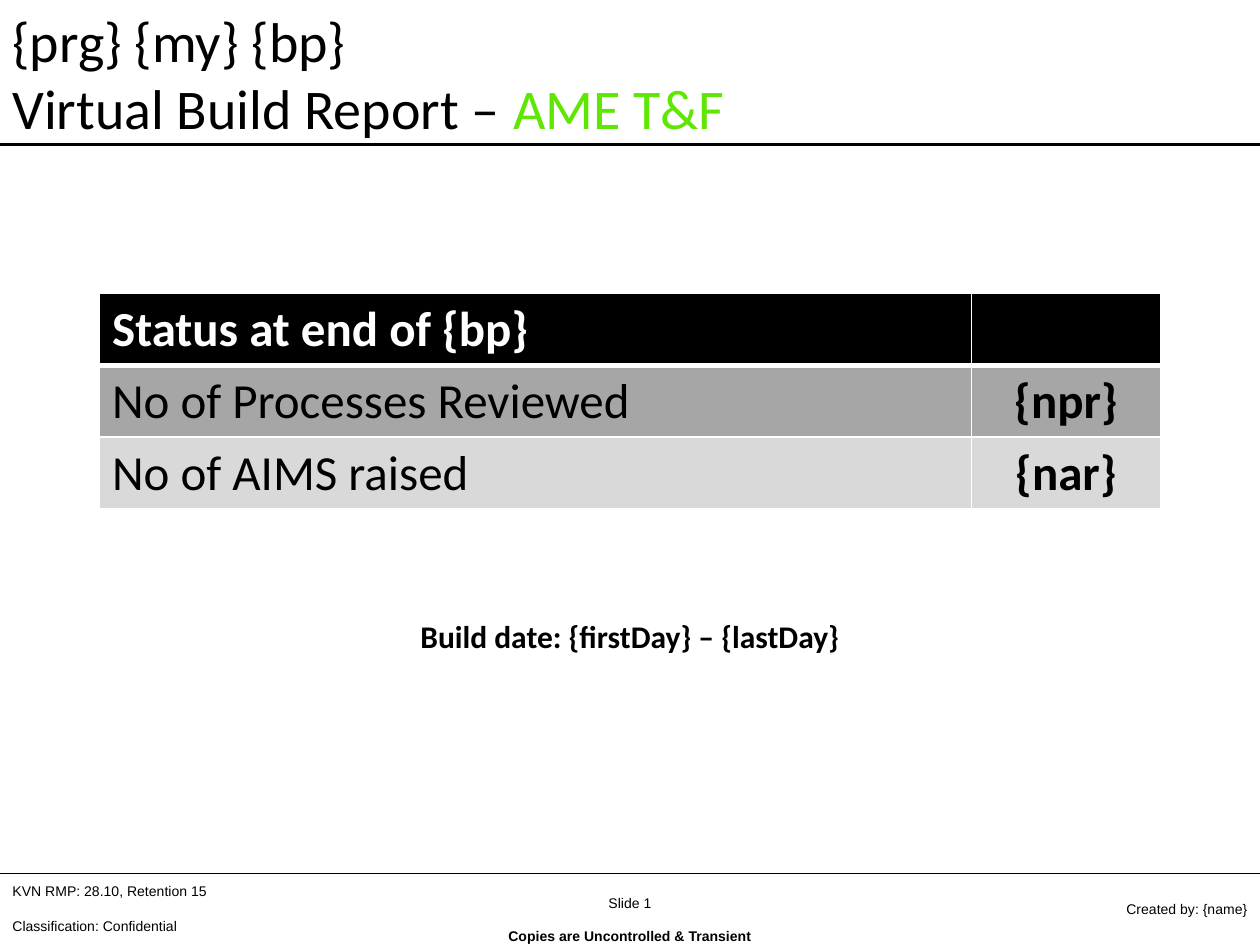
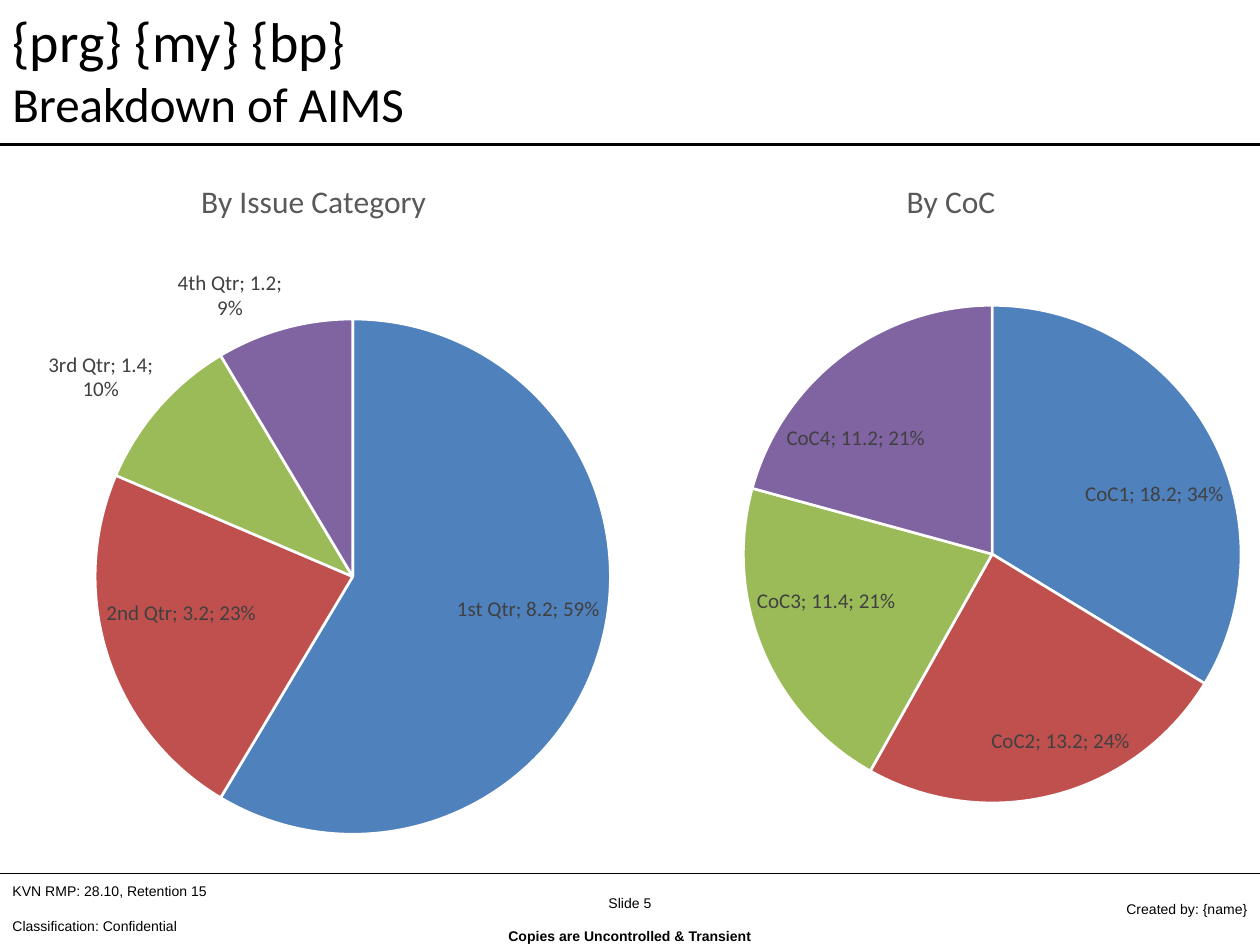
import dataclasses
import typing

import pptx
import pptx.chart.data
import pptx.dml.color
import pptx.enum.chart
import pptx.enum.shapes
import pptx.enum.text
import pptx.oxml.ns
import pptx.util
from lxml import etree

Inches = pptx.util.Inches
Pt = pptx.util.Pt
qn = pptx.oxml.ns.qn
Align = pptx.enum.text.PP_ALIGN
Anchor = pptx.enum.text.MSO_ANCHOR

BLACK, WHITE, GREEN = "000000", "FFFFFF", "5FE703"
LABEL, HEAD = "404040", "595959"
SLICES = ("4F81BD", "C0504D", "9BBB59", "8064A2")


@dataclasses.dataclass
class Box:
    left: float
    top: float
    width: float
    height: float

    def emu(self) -> tuple:
        return tuple(Inches(n) for n in dataclasses.astuple(self))


@dataclasses.dataclass
class Line:
    """One paragraph; a tail is a second run in its own colour."""
    text: str
    size: float
    face: str = "Calibri"
    bold: bool = False
    color: str = BLACK
    align: typing.Any = Align.LEFT
    space: float = 1.0
    before: float = 0
    tail: str = ""


@dataclasses.dataclass
class Pie:
    title: str
    frame: Box
    names: tuple
    values: tuple
    head: tuple  # left, top as shares of the frame
    plot: tuple  # left, top, width, height as shares of the frame


@dataclasses.dataclass
class Row:
    label: str
    value: str
    fill: str
    color: str = BLACK
    head: bool = False


def rgb(code: str) -> pptx.dml.color.RGBColor:
    return pptx.dml.color.RGBColor.from_string(code)


def style(font, size: float, color: str, face: str = "Calibri", bold: bool = False) -> None:
    font.size, font.name, font.bold = Pt(size), face, bold
    font.color.rgb = rgb(color)


def write(frame, lines: typing.Sequence[Line]) -> None:
    for i, line in enumerate(lines):
        para = frame.add_paragraph() if i else frame.paragraphs[0]
        para.text = line.text
        para.alignment = line.align
        para.line_spacing = line.space
        para.space_before = Pt(line.before)
        if line.tail:
            para.add_run().text = line.tail
        for run, color in zip(para.runs, (line.color, GREEN)):
            style(run.font, line.size, color, line.face, line.bold)


def add_text(slide, box: Box, lines: typing.Sequence[Line], anchor=Anchor.TOP) -> None:
    frame = slide.shapes.add_textbox(*box.emu()).text_frame
    frame.word_wrap = True
    frame.vertical_anchor = anchor
    write(frame, lines)


def add_rule(slide, top: float, weight: float) -> None:
    kind = pptx.enum.shapes.MSO_CONNECTOR.STRAIGHT
    rule = slide.shapes.add_connector(kind, Inches(0), Inches(top), Inches(10), Inches(top))
    rule.line.color.rgb = rgb(BLACK)
    rule.line.width = Pt(weight)
    etree.SubElement(rule.element.spPr, qn("a:effectLst"))


def add_page(deck, number: int, title: typing.Sequence[Line]):
    """Blank slide with the shared footer, rules and title."""
    slide = deck.slides.add_slide(deck.slide_layouts[6])
    mid = dict(size=8, face="Arial", align=Align.CENTER, space=2.0)
    add_text(slide, Box(0, 6.94, 10, 0.58), [
        Line(f"Slide {number}", **mid),
        Line("Copies are Uncontrolled & Transient", bold=True, **mid),
    ], Anchor.MIDDLE)
    add_text(slide, Box(0, 6.92, 2.91, 0.58), [
        Line("KVN RMP: 28.10, Retention 15", 8, "Arial"),
        Line("Classification: Confidential", 8, "Arial", before=10),
    ], Anchor.MIDDLE)
    add_text(slide, Box(6.76, 6.93, 3.24, 0.57), [
        Line("Created by: {name}", 8, "Arial", align=Align.RIGHT),
    ], Anchor.MIDDLE)
    add_rule(slide, 1.15, 1.75)
    add_rule(slide, 6.93, 0.75)
    add_text(slide, Box(0, 0, 10, 1.15), [Line("{prg} {my} {bp}", 32), *title])
    return slide


def edge_cell(cell, top: float, bottom: float) -> None:
    """White borders; they come before the fill in the cell."""
    props = cell._tc.get_or_add_tcPr()
    sides = {"L": 1, "R": 1, "T": top, "B": bottom}
    for i, (side, weight) in enumerate(sides.items()):
        edge = etree.Element(qn(f"a:ln{side}"), w=str(Pt(weight)))
        fill = etree.SubElement(edge, qn("a:solidFill"))
        etree.SubElement(fill, qn("a:srgbClr"), val=WHITE)
        props.insert(i, edge)


def add_grid(slide, box: Box, widths: tuple, rows: typing.Sequence[Row]) -> None:
    grid = slide.shapes.add_table(len(rows), len(widths), *box.emu()).table
    grid.horz_banding = False
    for col, width in zip(grid.columns, widths):
        col.width = Inches(width)
    for i, row in enumerate(rows):
        lines = (
            Line(row.label, 28, bold=row.head, color=row.color),
            Line(row.value, 28, bold=True, color=row.color, align=Align.CENTER),
        )
        for cell, line in zip(grid.rows[i].cells, lines):
            cell.fill.solid()
            cell.fill.fore_color.rgb = rgb(row.fill)
            cell.vertical_anchor = Anchor.MIDDLE
            edge_cell(cell, 3 if i == 1 else 1, 3 if row.head else 1)
            write(cell.text_frame, [line])


def place(node, index: int, shares: tuple) -> None:
    """Fix a chart part by shares of the chart frame."""
    for old in node.findall(qn("c:layout")):
        node.remove(old)
    layout = etree.Element(qn("c:layout"))
    manual = etree.SubElement(layout, qn("c:manualLayout"))
    if len(shares) == 4:
        etree.SubElement(manual, qn("c:layoutTarget"), val="inner")
    for tag in ("xMode", "yMode"):
        etree.SubElement(manual, qn(f"c:{tag}"), val="edge")
    for tag, share in zip("xywh", shares):
        etree.SubElement(manual, qn(f"c:{tag}"), val=str(share))
    node.insert(index, layout)


def add_pie(slide, pie: Pie) -> None:
    data = pptx.chart.data.CategoryChartData()
    data.categories = pie.names
    data.add_series("Series 1", pie.values)
    kind = pptx.enum.chart.XL_CHART_TYPE.PIE
    chart = slide.shapes.add_chart(kind, *pie.frame.emu(), data).chart
    chart.has_legend = False
    style(chart.font, 10, BLACK)

    # Title
    chart.has_title = True
    write(chart.chart_title.text_frame, [Line(pie.title, 18, color=HEAD)])
    chart.chart_title.include_in_layout = False
    place(chart.chart_title.element, 1, pie.head)

    # Slices
    plot = chart.plots[0]
    plot.vary_by_categories = True
    for i, color in enumerate(SLICES):
        form = plot.series[0].points[i].format
        form.fill.solid()
        form.fill.fore_color.rgb = rgb(color)
        form.line.color.rgb = rgb(WHITE)
        form.line.width = Pt(1.5)
    place(next(chart.element.iter(qn("c:plotArea"))), 0, pie.plot)

    # Labels
    labels = plot.series[0].data_labels
    labels.show_category_name = labels.show_value = labels.show_percentage = True
    labels.position = pptx.enum.chart.XL_LABEL_POSITION.BEST_FIT
    style(labels.font, 12, LABEL)
    last = next(chart.element.iter(qn("c:showPercent")))
    bubble = last.getparent().find(qn("c:showBubbleSize"))
    mark = etree.Element(qn("c:separator"))
    mark.text = "; "
    (last if bubble is None else bubble).addnext(mark)


def main() -> None:
    deck = pptx.Presentation()
    deck.slide_width, deck.slide_height = Inches(10), Inches(7.5)

    # Status report
    slide = add_page(deck, 1, [Line("Virtual Build Report – ", 32, tail="AME T&F")])
    add_grid(slide, Box(0.79, 2.33, 8.42, 1.71), (6.92, 1.5), [
        Row("Status at end of {bp}", "", BLACK, WHITE, True),
        Row("No of Processes Reviewed", "{npr}", "A6A6A6"),
        Row("No of AIMS raised", "{nar}", "D9D9D9"),
    ])
    add_text(slide, Box(0, 4.85, 10, 0.4), [
        Line("Build date: {firstDay} – {lastDay}", 18, bold=True, align=Align.CENTER),
    ])

    # Breakdown charts
    slide = add_page(deck, 5, [Line("Breakdown of AIMS", 28)])
    for pie in (
        Pie("By Issue Category", Box(0, 1.15, 5, 5.76),
            ("1st Qtr", "2nd Qtr", "3rd Qtr", "4th Qtr"), (8.2, 3.2, 1.4, 1.2),
            (0.31, 0.04), (0.15, 0.24, 0.82, 0.71)),
        Pie("By CoC", Box(5, 1.15, 5, 5.75),
            ("CoC1", "CoC2", "CoC3", "CoC4"), (18.2, 13.2, 11.4, 11.2),
            (0.43, 0.04), (0.18, 0.22, 0.79, 0.69)),
    ):
        add_pie(slide, pie)

    deck.save("out.pptx")


if __name__ == "__main__":
    main()
